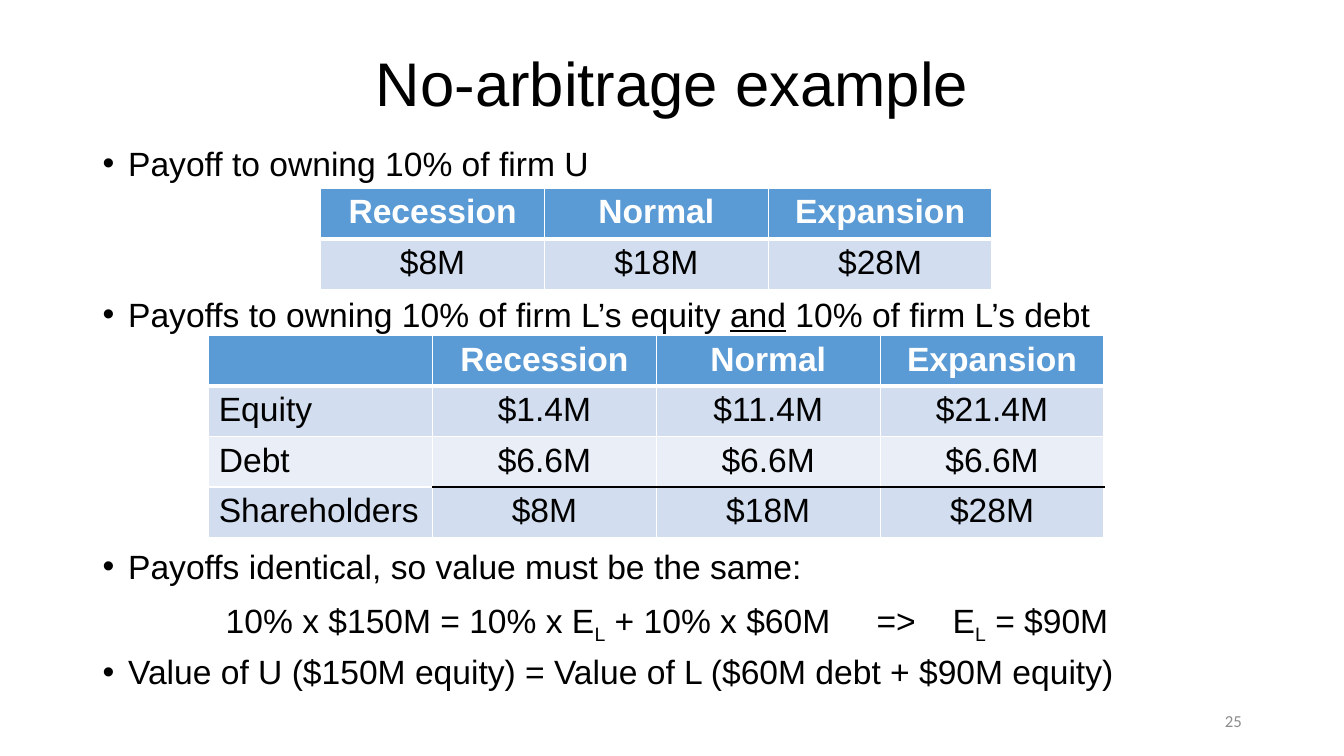
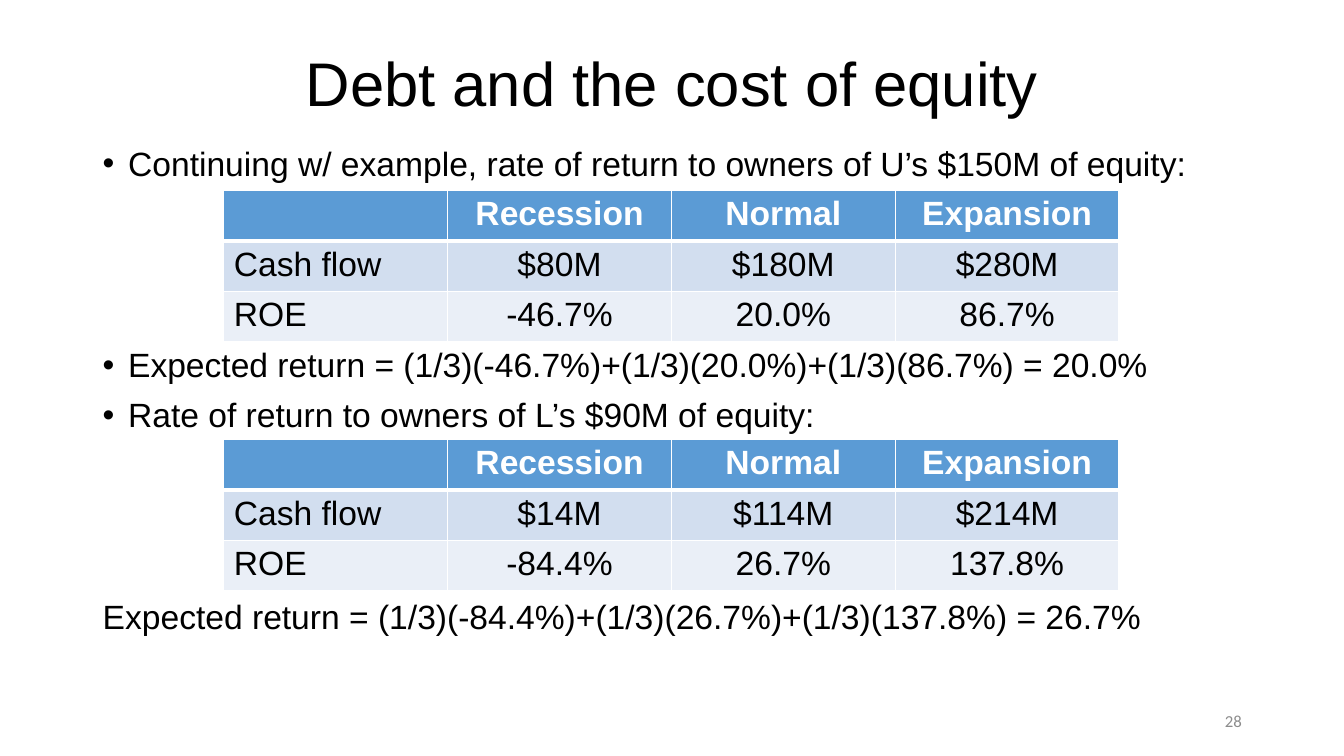
from lxml import etree
from pptx import Presentation
from pptx.dml.color import RGBColor
from pptx.enum.text import MSO_ANCHOR, PP_ALIGN
from pptx.oxml.ns import qn
from pptx.util import Cm, Pt

LEFT, CENTER, RIGHT = PP_ALIGN.LEFT, PP_ALIGN.CENTER, PP_ALIGN.RIGHT
MIDDLE = MSO_ANCHOR.MIDDLE
TITLE_ONLY = 5

COLORS = {
    "text": "000000",
    "number": "8C8C8C",
    "white": "FFFFFF",
    "header": "5B9BD5",
    "band_dark": "D2DEEF",
    "band_light": "EAEFF7",
}
TITLE = {"name": "Arial", "size": Pt(44), "bold": False}
BODY = {"name": "Arial", "size": Pt(24), "bold": False}
HEADER = {**BODY, "bold": True}
NUMBER = {"name": "Calibri", "size": Pt(12), "bold": False}
UNDERLINED = {**BODY, "underline": True}

TITLE_BOX = (2.34, 1.02, 29.21, 2.31)
BODY_BOX = (2.34, 3.58, 29.21, 14.27)
NUMBER_BOX = (23.93, 17.65, 7.62, 1.02)
COL_WIDTH, ROW_HEIGHT = 5.64, 1.04
LINE_PITCH, PARAGRAPH_GAP = 36, 10
BULLET_INDENT = 0.64
STATES = ["Recession", "Normal", "Expansion"]


def add_run(p, text, style, color="text", baseline=0):
    """Append a formatted run to a paragraph."""
    r = p.add_run()
    r.text = text
    for name, value in style.items():
        setattr(r.font, name, value)
    r.font.color.rgb = RGBColor.from_string(COLORS[color])
    if baseline:
        r._r.get_or_add_rPr().set("baseline", str(baseline * 1000))


def place(shape, box):
    """Move a shape to a box given in centimetres."""
    for name, value in zip(("left", "top", "width", "height"), box):
        setattr(shape, name, Cm(value))


def add_title(s, text):
    """Format and fill the title placeholder."""
    title = s.shapes.title
    place(title, TITLE_BOX)
    tf = title.text_frame
    tf.vertical_anchor = MIDDLE
    p = tf.paragraphs[0]
    p.alignment, p.line_spacing = CENTER, 0.9
    add_run(p, text, TITLE)


def add_number(s, number):
    """Add the slide number at the lower right."""
    tf = s.shapes.add_textbox(*map(Cm, NUMBER_BOX)).text_frame
    tf.word_wrap = True
    tf.vertical_anchor = MIDDLE
    p = tf.paragraphs[0]
    p.alignment = RIGHT
    add_run(p, str(number), NUMBER, "number")


def add_bullet(p):
    """Give a paragraph a hanging round bullet."""
    pPr = p._p.get_or_add_pPr()
    pPr.set("marL", str(Cm(BULLET_INDENT)))
    pPr.set("indent", str(-Cm(BULLET_INDENT)))
    etree.SubElement(pPr, qn("a:buFont"), typeface="Arial")
    etree.SubElement(pPr, qn("a:buChar"), char="•")


def add_tabs(p, stops):
    """Set left tab stops given in centimetres."""
    tabs = etree.SubElement(p._p.get_or_add_pPr(), qn("a:tabLst"))
    for stop in stops:
        etree.SubElement(tabs, qn("a:tab"), pos=str(Cm(stop)), algn="l")


def add_body(s, box, items):
    """Add the body text, leaving free lines above items for tables."""
    tf = s.shapes.add_textbox(*map(Cm, box)).text_frame
    tf.word_wrap = True
    for i, item in enumerate(items):
        p = tf.add_paragraph() if i else tf.paragraphs[0]
        p.alignment, p.line_spacing = LEFT, 0.9
        p.space_before = Pt(PARAGRAPH_GAP + LINE_PITCH * item.get("free_lines", 0))
        if item.get("bullet", True):
            add_bullet(p)
        if "tabs" in item:
            add_tabs(p, item["tabs"])
        for text, style, baseline in item["runs"]:
            add_run(p, text, style, baseline=baseline)


def set_borders(cell, borders):
    """Draw the four borders of a cell from side, colour and width."""
    tcPr = cell._tc.get_or_add_tcPr()
    for side, (color, width) in borders.items():
        line = etree.SubElement(tcPr, qn(f"a:ln{side}"), w=str(Pt(width)))
        fill = etree.SubElement(line, qn("a:solidFill"))
        etree.SubElement(fill, qn("a:srgbClr"), val=COLORS[color])


def add_payoff_table(s, left, top, rows, labelled=True, total_row=None):
    """Add a banded table with a heading row and an optional total rule."""
    n_rows, n_cols = len(rows), len(rows[0])
    frame = s.shapes.add_table(n_rows, n_cols, Cm(left), Cm(top),
                               Cm(COL_WIDTH * n_cols), Cm(ROW_HEIGHT * n_rows))
    table = frame.table
    table.horz_banding = False
    for col in table.columns:
        col.width = Cm(COL_WIDTH)
    for row in table.rows:
        row.height = Cm(ROW_HEIGHT)

    def rule_above(i, j):
        """Return the colour and width of the rule above a cell."""
        if i == 1:
            return "white", 3
        if i == total_row and j > 0:
            return "text", 1
        return "white", 1

    for i, values in enumerate(rows):
        band = "header" if i == 0 else ("band_light", "band_dark")[i % 2]
        style, color = (BODY, "text") if i else (HEADER, "white")
        for j, value in enumerate(values):
            cell = table.cell(i, j)
            set_borders(cell, {"L": ("white", 1), "R": ("white", 1),
                               "T": rule_above(i, j), "B": rule_above(i + 1, j)})
            cell.fill.solid()
            cell.fill.fore_color.rgb = RGBColor.from_string(COLORS[band])
            p = cell.text_frame.paragraphs[0]
            p.alignment = LEFT if labelled and j == 0 else CENTER
            if value:
                add_run(p, value, style, color)


def add_slide(prs, title, number, items):
    """Add a slide with title, body text and number."""
    s = prs.slides.add_slide(prs.slide_layouts[TITLE_ONLY])
    add_title(s, title)
    add_body(s, BODY_BOX, items)
    add_number(s, number)
    return s


def line(text, **options):
    """Return a body item made of one plain run."""
    return {"runs": [(text, BODY, 0)], **options}


def build_arbitrage(prs):
    """Build the no-arbitrage slide."""
    equity = [("Payoffs to owning 10% of firm L’s equity ", BODY, 0),
              ("and", UNDERLINED, 0), (" 10% of firm L’s debt", BODY, 0)]
    equation = [("\t10% x $150M = 10% x E", BODY, 0), ("L", BODY, -25),
                (" + 10% x $60M\t=>\tE", BODY, 0), ("L", BODY, -25),
                (" = $90M", BODY, 0)]
    s = add_slide(prs, "No-arbitrage example", 25, [
        line("Payoff to owning 10% of firm U"),
        {"runs": equity, "free_lines": 2},
        line("Payoffs identical, so value must be the same:", free_lines=4),
        {"runs": equation, "bullet": False, "tabs": (3.1, 19.5, 21.42)},
        line("Value of U ($150M equity) = Value of L ($60M debt + $90M equity)"),
    ])
    totals = ["$8M", "$18M", "$28M"]
    add_payoff_table(s, 8.08, 4.75, [STATES, totals], labelled=False)
    add_payoff_table(s, 5.26, 8.46, [
        ["", *STATES],
        ["Equity", "$1.4M", "$11.4M", "$21.4M"],
        ["Debt"] + ["$6.6M"] * 3,
        ["Shareholders", *totals],
    ], total_row=3)


def build_cost_of_equity(prs):
    """Build the cost of equity slide."""
    s = add_slide(prs, "Debt and the cost of equity", 28, [
        line("Continuing w/ example, rate of return to owners of U’s $150M of equity:"),
        line("Expected return = (1/3)(-46.7%)+(1/3)(20.0%)+(1/3)(86.7%) = 20.0%",
             free_lines=3),
        line("Rate of return to owners of L’s $90M of equity:"),
        line("Expected return = (1/3)(-84.4%)+(1/3)(26.7%)+(1/3)(137.8%) = 26.7%",
             free_lines=3, bullet=False),
    ])
    tables = [
        (4.8, ["$80M", "$180M", "$280M"], ["-46.7%", "20.0%", "86.7%"]),
        (11.07, ["$14M", "$114M", "$214M"], ["-84.4%", "26.7%", "137.8%"]),
    ]
    for top, cash_flow, roe in tables:
        add_payoff_table(s, 5.64, top, [
            ["", *STATES], ["Cash flow", *cash_flow], ["ROE", *roe]])


def main():
    """Build and save the presentation."""
    prs = Presentation()
    prs.slide_width, prs.slide_height = Cm(33.87), Cm(19.05)
    build_arbitrage(prs)
    build_cost_of_equity(prs)
    prs.save("out.pptx")


if __name__ == "__main__":
    main()
